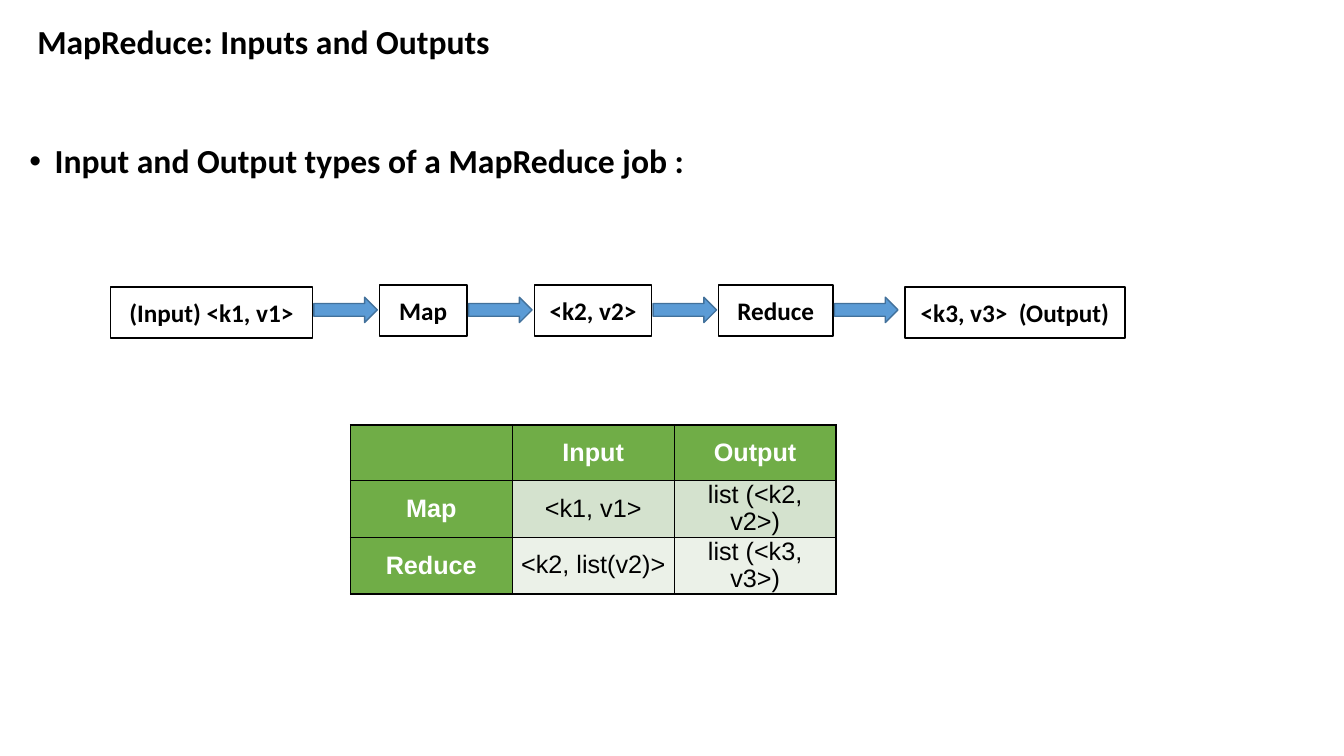
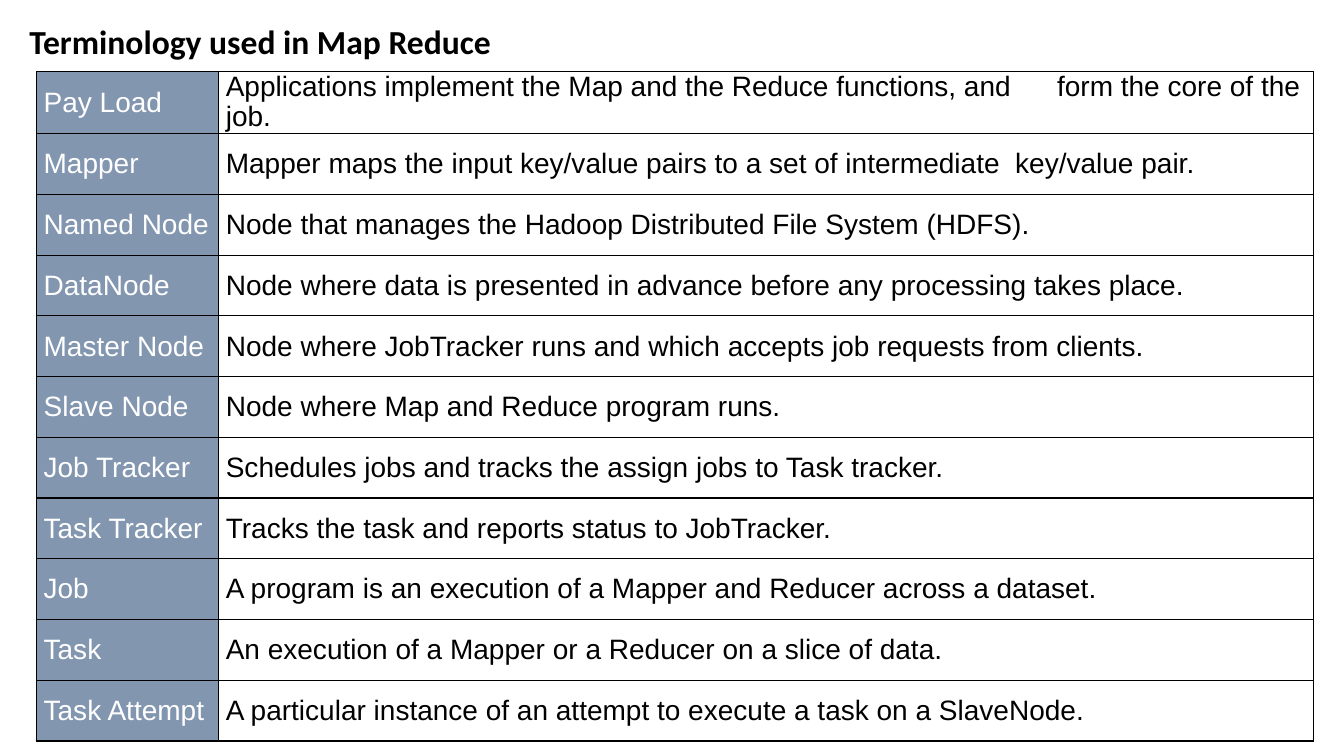
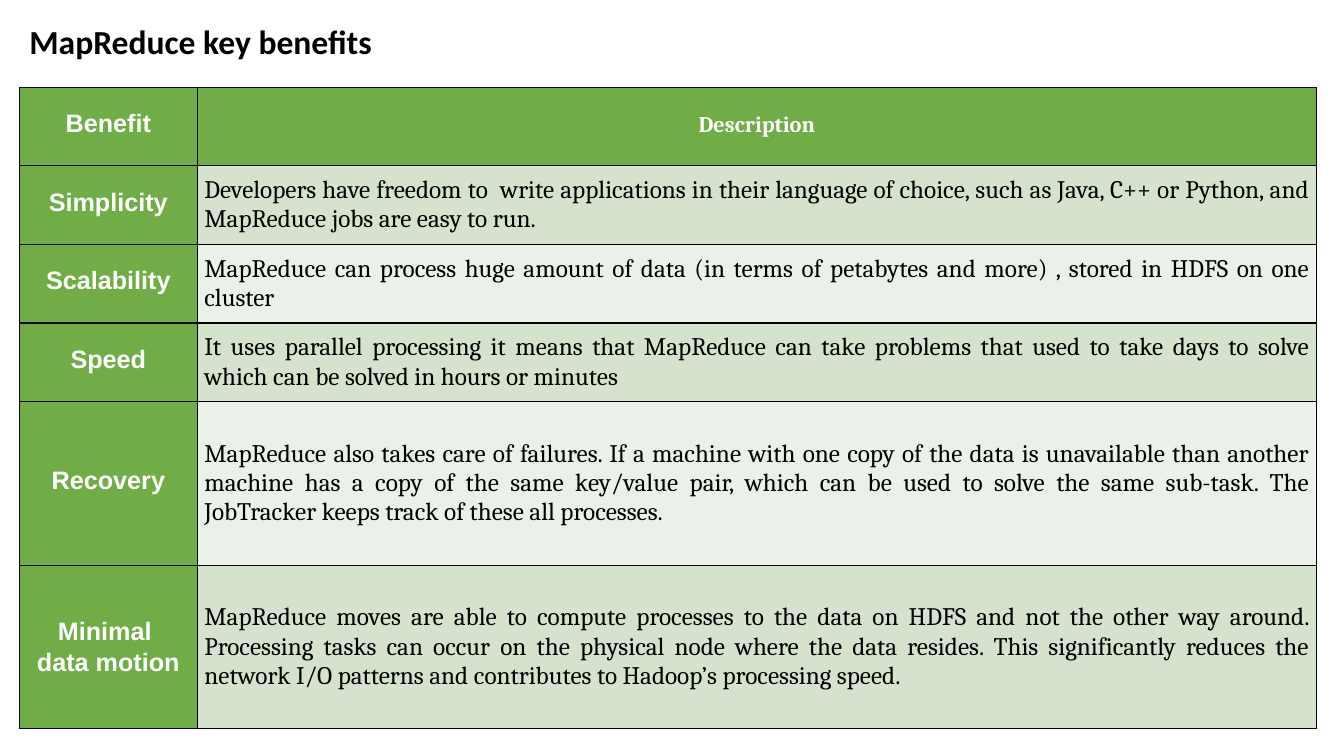
from lxml.etree import SubElement
from pptx import Presentation
from pptx.dml.color import RGBColor
from pptx.enum.shapes import MSO_SHAPE
from pptx.enum.text import MSO_ANCHOR, PP_ALIGN
from pptx.oxml import parse_xml
from pptx.oxml.ns import nsdecls, qn
from pptx.util import Cm, Pt

BLACK = RGBColor(0x00, 0x00, 0x00)
WHITE = RGBColor(0xFF, 0xFF, 0xFF)
GREEN = RGBColor(0x70, 0xAD, 0x47)
GREEN_BAND = RGBColor(0xD4, 0xE2, 0xCE)
PALE_BAND = RGBColor(0xEB, 0xF1, 0xE8)
SLATE = RGBColor(0x82, 0x96, 0xB0)
ARROW_FILL = RGBColor(0x5B, 0x9B, 0xD5)
ARROW_LINE = RGBColor(0x42, 0x71, 0x9B)

HEADING = dict(font="Calibri", size=24, bold=True, spacing=0.9)
GREEN_HEAD = dict(font="Arial", size=18, bold=True, color=WHITE, alignment=PP_ALIGN.CENTER)


def write(text_frame, text, font, size, color=BLACK, bold=False,
          alignment=PP_ALIGN.LEFT, spacing=None):
    """Fill a text frame, one paragraph for each line of the text."""
    for number, line in enumerate(text.split("\n")):
        paragraph = text_frame.add_paragraph() if number else text_frame.paragraphs[0]
        paragraph.alignment = alignment
        paragraph.line_spacing = spacing
        run = paragraph.add_run()
        run.text = line
        run.font.name = font
        run.font.size = Pt(size)
        run.font.bold = bold
        run.font.color.rgb = color


def add_grid(slide, left, top, widths, heights, rows, head, body, head_fill,
             bands=None, has_header=True):
    """Add a bordered table; bands holds the fills of even and odd body rows."""
    frame = slide.shapes.add_table(len(rows), len(widths), Cm(left), Cm(top),
                                   Cm(sum(widths)), Cm(sum(heights)))
    table = frame.table
    table.first_row = table.horz_banding = False
    for column, width in zip(table.columns, widths):
        column.width = Cm(width)
    for row_number, (height, texts) in enumerate(zip(heights, rows)):
        table.rows[row_number].height = Cm(height)
        for column_number, text in enumerate(texts):
            cell = table.cell(row_number, column_number)
            cell.vertical_anchor = MSO_ANCHOR.MIDDLE
            cell.margin_left = cell.margin_right = Cm(0.18)
            cell.margin_top = cell.margin_bottom = 0
            is_head = column_number == 0 or (has_header and row_number == 0)
            if is_head or bands:
                cell.fill.solid()
                cell.fill.fore_color.rgb = head_fill if is_head else bands[row_number % 2]
            else:
                cell.fill.background()
            if text:
                write(cell.text_frame, text, **(head if is_head else body))
            properties = cell._tc.get_or_add_tcPr()
            for position, side in enumerate(("lnL", "lnR", "lnT", "lnB")):
                properties.insert(position, parse_xml(
                    f'<a:{side} {nsdecls("a")} w="{Pt(1)}"><a:solidFill>'
                    f'<a:srgbClr val="{BLACK}"/></a:solidFill></a:{side}>'))
    return table


presentation = Presentation()
presentation.slide_width = Cm(33.87)
presentation.slide_height = Cm(19.05)

# Slides with their titles
slides = []
for title, left_margin in (("MapReduce: Inputs and Outputs", 0.45),
                           ("Terminology used in Map Reduce", 0.25),
                           ("MapReduce key benefits", 0.25)):
    slide = presentation.slides.add_slide(presentation.slide_layouts[6])
    title_box = slide.shapes.add_textbox(Cm(0.49), Cm(0.38), Cm(33.05), Cm(1.42))
    title_box.text_frame.word_wrap = True
    title_box.text_frame.vertical_anchor = MSO_ANCHOR.MIDDLE
    title_box.text_frame.margin_left = Cm(left_margin)
    write(title_box.text_frame, title, **HEADING)
    slides.append(slide)
flow_slide, terms_slide, benefits_slide = slides

# Inputs and outputs: bullet
bullet_box = flow_slide.shapes.add_textbox(Cm(0.49), Cm(3.52), Cm(33.05), Cm(1.2))
bullet_box.text_frame.word_wrap = True
write(bullet_box.text_frame, "Input and Output types of a MapReduce job :", **HEADING)
bullet_properties = bullet_box.text_frame.paragraphs[0]._p.get_or_add_pPr()
bullet_properties.set("marL", str(Cm(0.64)))
bullet_properties.set("indent", str(-Cm(0.64)))
SubElement(bullet_properties, qn("a:buFont"), typeface="Arial")
SubElement(bullet_properties, qn("a:buChar"), char="•")

# Inputs and outputs: flow, with an arrow after every step but the last
steps = [
    ("(Input) <k1, v1>", 2.79, 7.23, 5.08),
    ("Map", 9.56, 7.18, 2.21),
    ("<k2, v2>", 13.47, 7.18, 2.95),
    ("Reduce", 18.11, 7.18, 2.88),
    ("<k3, v3>  (Output)", 22.81, 7.23, 5.54),
]
for text, left, top, width in steps:
    step = flow_slide.shapes.add_shape(
        MSO_SHAPE.RECTANGLE, Cm(left), Cm(top), Cm(width), Cm(1.29))
    step.shadow.inherit = False
    step.fill.background()
    step.line.color.rgb = BLACK
    step.line.width = Pt(1)
    write(step.text_frame, text, "Calibri", 18, bold=True, alignment=PP_ALIGN.CENTER)
for text, left, top, width in steps[:-1]:
    arrow = flow_slide.shapes.add_shape(
        MSO_SHAPE.RIGHT_ARROW, Cm(left + width + 0.04), Cm(7.49), Cm(1.6), Cm(0.64))
    arrow.shadow.inherit = False
    arrow.fill.solid()
    arrow.fill.fore_color.rgb = ARROW_FILL
    arrow.line.color.rgb = ARROW_LINE
    arrow.line.width = Pt(1)

add_grid(
    flow_slide, 8.83, 10.71, [4.08] * 3, [1.4, 1.43, 1.43],
    [("", "Input", "Output"),
     ("Map", "<k1, v1>", "list (<k2, v2>)"),
     ("Reduce", "<k2, list(v2)>", "list (<k3, v3>)")],
    head=GREEN_HEAD,
    body=dict(font="Arial", size=18, alignment=PP_ALIGN.CENTER, spacing=Pt(19.5)),
    head_fill=GREEN, bands=(PALE_BAND, GREEN_BAND))

# Terminology
terms = [
    ("Pay Load", "Applications implement the Map and the Reduce functions, and\t"
                 "form the core of the job."),
    ("Mapper", "Mapper maps the input key/value pairs to a set of intermediate  key/value pair."),
    ("Named Node", "Node that manages the Hadoop Distributed File System (HDFS)."),
    ("DataNode", "Node where data is presented in advance before any processing takes place."),
    ("Master Node", "Node where JobTracker runs and which accepts job requests from clients."),
    ("Slave Node", "Node where Map and Reduce program runs."),
    ("Job Tracker", "Schedules jobs and tracks the assign jobs to Task tracker."),
    ("Task Tracker", "Tracks the task and reports status to JobTracker."),
    ("Job", "A program is an execution of a Mapper and Reducer across a dataset."),
    ("Task", "An execution of a Mapper or a Reducer on a slice of data."),
    ("Task Attempt", "A particular instance of an attempt to execute a task on a SlaveNode."),
]
terms_table = add_grid(
    terms_slide, 0.92, 1.81, [4.59, 27.59], [1.56] + [1.53] * (len(terms) - 1), terms,
    head=dict(font="Arial", size=20, color=WHITE),
    body=dict(font="Arial", size=20),
    head_fill=SLATE, has_header=False)
pay_load = terms_table.cell(0, 1).text_frame.paragraphs[0]
pay_load.line_spacing = Pt(21)
tab_stops = SubElement(pay_load._p.get_or_add_pPr(), qn("a:tabLst"))
SubElement(tab_stops, qn("a:tab"), pos=str(Cm(20.95)), algn="l")

# Key benefits
benefits = [
    ("Benefit", "Description"),
    ("Simplicity", "Developers have freedom to  write applications in their language of choice, "
                   "such as Java, C++ or Python, and MapReduce jobs are easy to run."),
    ("Scalability", "MapReduce can process huge amount of data (in terms of petabytes and more) , "
                    "stored in HDFS on one cluster"),
    ("Speed", "It uses parallel processing it means that MapReduce can take problems that used "
              "to take days to solve which can be solved in hours or minutes"),
    ("Recovery", "MapReduce also takes care of failures. If a machine with one copy of the data "
                 "is unavailable than another machine has a copy of the same key/value pair, "
                 "which can be used to solve the same sub-task. The JobTracker keeps track of "
                 "these all processes."),
    ("Minimal \ndata motion",
     "MapReduce moves are able to compute processes to the data on HDFS and not the other way "
     "around. Processing tasks can occur on the physical node where the data resides. This "
     "significantly reduces the network I/O patterns and contributes to Hadoop’s processing "
     "speed."),
]
benefits_table = add_grid(
    benefits_slide, 0.49, 2.2, [4.48, 28.21], [1.98] * 4 + [4.12] * 2, benefits,
    head=dict(GREEN_HEAD, spacing=0.72),
    body=dict(font="Cambria", size=18, alignment=PP_ALIGN.JUSTIFY),
    head_fill=GREEN, bands=(PALE_BAND, GREEN_BAND))

description = benefits_table.cell(0, 1).text_frame.paragraphs[0]
description.line_spacing = 0.81
description.runs[0].font.name = "Cambria"
description.runs[0].font.size = Pt(16)

data_motion = benefits_table.cell(5, 0).text_frame.paragraphs
for paragraph in data_motion:
    paragraph.line_spacing = None
data_motion[-1].space_before = Pt(2)

presentation.save("out.pptx")
